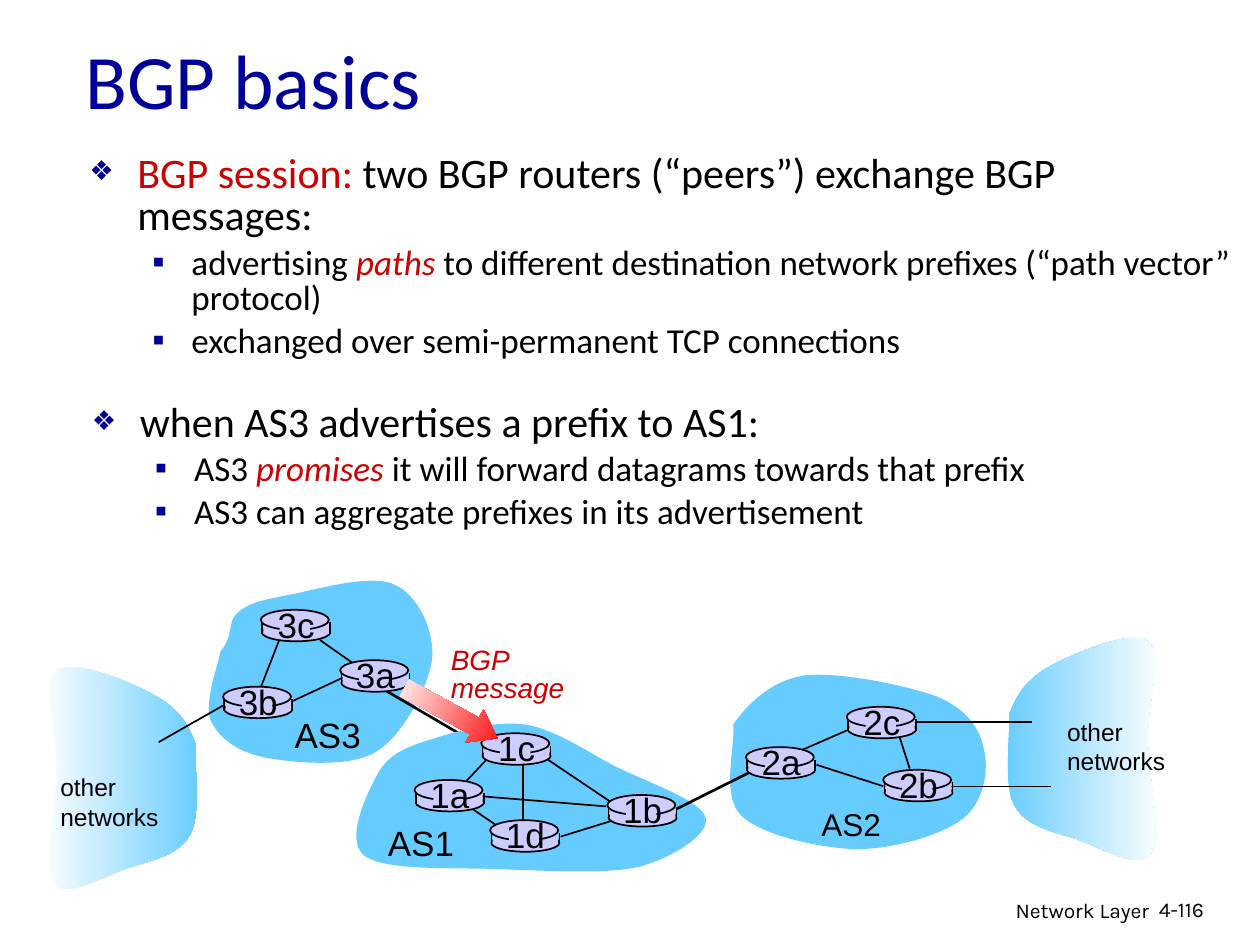
from typing import NamedTuple

from lxml import etree
from pptx import Presentation
from pptx.dml.color import RGBColor
from pptx.enum.shapes import MSO_CONNECTOR, MSO_SHAPE
from pptx.enum.text import MSO_ANCHOR, MSO_AUTO_SIZE, PP_ALIGN
from pptx.oxml.ns import qn
from pptx.util import Inches, Pt

LEFT, CENTER, RIGHT = PP_ALIGN.LEFT, PP_ALIGN.CENTER, PP_ALIGN.RIGHT
OVAL, RECTANGLE, LEFT_ARROW = MSO_SHAPE.OVAL, MSO_SHAPE.RECTANGLE, MSO_SHAPE.LEFT_ARROW
STRAIGHT, MIDDLE, NO_FIT = MSO_CONNECTOR.STRAIGHT, MSO_ANCHOR.MIDDLE, MSO_AUTO_SIZE.NONE
BLACK, RED, NAVY, CLOUD, ROUTER = "000000", "CC0000", "000099", "66CCFF", "CCCCFF"

# The slide is a grid of 100 columns by 75 rows
COLUMNS, ROWS = 100, 75
SLIDE_WIDTH = Inches(10)
CELL = SLIDE_WIDTH / COLUMNS


class Run(NamedTuple):
    text: str
    colour: str = BLACK
    italic: bool = False


class Item(NamedTuple):
    level: int
    runs: list[Run]


class Level(NamedTuple):
    size: int
    margin: float
    hanging: float
    bullet: str
    bullet_percent: int


class Link(NamedTuple):
    start: tuple[float, float]
    end: tuple[float, float]
    width: float = 1


class Label(NamedTuple):
    lines: list[str]
    box: tuple[float, float, float, float]
    format: dict
    align: object = LEFT
    spacing: float = 1.0


LEVELS = [Level(24, 3.8, 3.8, "❖", 65), Level(20, 8.1, 3.1, "▪", 100)]
TITLE_BOX = (5.8, 0, 85, 12.5)
LISTS = [
    ((6.1, 11.7, 93, 21.8), [
        Item(0, [Run("BGP session: ", RED), Run("two BGP routers (“peers”) exchange BGP messages:")]),
        Item(1, [Run("advertising "), Run("paths ", RED, True),
                 Run("to different destination network prefixes (“path vector” protocol)")]),
        Item(1, [Run("exchanged over semi-permanent TCP connections")])]),
    ((6.3, 31.5, 93, 25.7), [
        Item(0, [Run("when AS3 advertises a prefix to AS1:")]),
        Item(1, [Run("AS3 "), Run("promises", RED, True),
                 Run(" it will forward datagrams towards that prefix")]),
        Item(1, [Run("AS3 can aggregate prefixes in its advertisement")])]),
]

# Outlines: a start point, then three points for each curve
NETWORK = [(80.1, 56.7), (80.7, 55.1), (81.5, 53.9), (83.3, 52.9), (85.1, 51.9), (89.8, 49.9),
           (91.1, 50.9), (92.4, 51.8), (91, 55.9), (91.1, 58.7), (91.1, 61.6), (92.3, 66.5),
           (91.3, 67.8), (90.4, 69.1), (87.3, 67.2), (85.5, 66.6), (83.6, 66), (81.4, 65.6),
           (80.5, 63.9), (79.6, 62.3), (80.2, 58.2), (80.1, 56.7)]
MIRROR_SUM, MIRROR_DROP = 95.6, 2.3
AS2 = [(58.2, 57.5), (59.3, 55.9), (61.2, 54), (63.9, 53.6), (66.6, 53.3), (72, 54.4),
       (74.4, 55.3), (76.8, 56.3), (77.8, 57.9), (78.1, 59.5), (78.5, 61.1), (78.1, 63.7),
       (76.4, 65), (74.7, 66.3), (70.9, 67.4), (67.9, 67.4), (65, 67.3), (60.4, 66.3),
       (58.8, 64.7), (57.2, 63.1), (58.4, 59), (58.2, 57.5)]
AS3 = [(17.5, 51.7), (18.6, 50.4), (18, 49.3), (18.9, 48.6), (19.8, 47.8), (21, 47.6),
       (23, 47.2), (25.1, 46.8), (29.4, 45.5), (31.3, 46.4), (33.2, 47.2), (34.5, 50.1),
       (34.3, 52.3), (34, 54.5), (32, 58.4), (29.8, 59.7), (27.6, 61), (23, 60.5),
       (20.9, 60.1), (18.7, 59.6), (17.3, 58.5), (16.7, 57.1), (16.2, 55.7), (17.3, 52.8),
       (17.5, 51.7)]
AS1 = [(30.1, 61.2), (31.1, 59.6), (32.8, 59.1), (34.8, 58.5), (36.7, 57.9), (39.4, 57.2),
       (41.7, 57.5), (44, 57.9), (46.2, 59.4), (48.6, 60.7), (50.9, 61.9), (55.7, 63.5),
       (56, 64.9), (56.4, 66.2), (53.3, 68.1), (50.7, 68.8), (48, 69.4), (43.6, 69.1),
       (40, 69), (36.4, 68.8), (30.6, 69.2), (28.9, 67.9), (27.3, 66.6), (29.2, 62.8),
       (30.1, 61.2)]

AS3_TO_AS1 = Link((30.6, 54.8), (38.3, 59.3), 1.5)
LINKS = [
    Link((23.1, 55.7), (27.4, 53.7)), Link((28.1, 52.7), (25.4, 50.8)),
    Link((22.2, 50.7), (20.6, 54.8)), Link((17.7, 56), (12.6, 58.9)),
    Link((38.7, 60.2), (37, 62)), Link((41.5, 60.6), (41.5, 65.6)),
    Link((43.2, 60.1), (48.7, 63.8)), Link((48.7, 65.1), (44.5, 66.4)),
    Link((48.1, 64), (38.2, 63.2)), Link((37.2, 64), (39.4, 65.5)),
    Link((62.8, 59.9), (67.6, 57.8)), Link((64.8, 60.7), (70.1, 62.4)),
    Link((71.4, 58.5), (72.2, 61)), Link((72.6, 57.3), (81.9, 57.3), 0.75),
    Link((75.3, 62.4), (83.4, 62.4), 0.75), Link((53.7, 64.2), (59.5, 61.3), 1.5),
]
ROUTERS = {"3b": (17.7, 54.5), "3c": (20.7, 48.4), "3a": (27, 52.4), "1c": (38.2, 58.2),
           "1a": (32.9, 61.9), "1d": (38.9, 65.1), "1b": (48.2, 63.1), "2a": (59.2, 59.3),
           "2c": (67.2, 56.1), "2b": (70.1, 61.1)}


def arial(size: int, **extra) -> dict:
    return {"name": "Arial", "size": Pt(size), **extra}


FOOTER = {"name": "Karla", "size": Pt(12)}
LABELS = [
    Label(["Network Layer"], (60.5, 70.7, 31.7, 3.1), FOOTER, RIGHT),
    Label(["4-116"], (91, 70.7, 7.4, 3), FOOTER),
    Label(["AS3"], (22.4, 56.1, 7.3, 4.3), arial(20)),
    Label(["AS2"], (64.2, 63.4, 6.7, 4), arial(18)),
    Label(["AS1"], (29.8, 64.7, 7.3, 4.3), arial(20)),
    Label(["other", "networks"], (83.7, 56.4, 9.8, 5.7), arial(14)),
    Label(["other", "networks"], (3.8, 60.8, 9.8, 5.7), arial(14)),
    Label(["BGP", "message"], (34.8, 50.9, 11, 5.6), arial(16, italic=True, colour=RED), LEFT, 0.85),
]


def cells(*values: float) -> list[int]:
    return [round(value * CELL) for value in values]


def rgb(colour: str) -> RGBColor:
    return RGBColor.from_string(colour)


def set_font(font, values: dict) -> None:
    values = {"colour": BLACK, **values}
    font.color.rgb = rgb(values.pop("colour"))
    for name, value in values.items():
        setattr(font, name, value)


def paint(shape, fill: str | tuple[str, str], line: str | None = None) -> None:
    shape.shadow.inherit = False
    if isinstance(fill, tuple):
        shape.fill.gradient()
        shape.fill.gradient_angle = 0
        for stop, colour in zip(shape.fill.gradient_stops, fill):
            stop.color.rgb = rgb(colour)
    else:
        shape.fill.solid()
        shape.fill.fore_color.rgb = rgb(fill)
    if line:
        shape.line.color.rgb = rgb(line)
        shape.line.width = Pt(1)
    else:
        shape.line.fill.background()


def place(shape, box: tuple) -> None:
    for name, value in zip(("left", "top", "width", "height"), cells(*box)):
        setattr(shape, name, value)


def add_label(slide, label: Label) -> None:
    frame = slide.shapes.add_textbox(*cells(*label.box)).text_frame
    frame.word_wrap = False
    frame.text = "\n".join(label.lines)
    for paragraph in frame.paragraphs:
        paragraph.alignment = label.align
        paragraph.line_spacing = label.spacing
        set_font(paragraph.runs[0].font, label.format)


def add_link(slide, link: Link) -> None:
    connector = slide.shapes.add_connector(STRAIGHT, *cells(*link.start, *link.end))
    connector.line.color.rgb = rgb(BLACK)
    connector.line.width = Pt(link.width)
    etree.SubElement(connector._element.spPr, qn("a:effectLst"))


def add_cloud(slide, points: list, fill: str | tuple[str, str]) -> None:
    corners = [tuple(cells(*point)) for point in points]
    builder = slide.shapes.build_freeform(*corners[0])
    builder.add_line_segments(corners[1:], close=True)
    shape = builder.convert_to_shape()
    # Every three line segments become one curve
    segments = list(shape._element.iter(qn("a:lnTo")))
    for first in range(0, len(segments) - 2, 3):
        curve = etree.Element(qn("a:cubicBezTo"))
        segments[first].addprevious(curve)
        for segment in segments[first:first + 3]:
            curve.append(segment[0])
            segment.getparent().remove(segment)
    paint(shape, fill)


def add_router(slide, name: str, x: float, y: float) -> None:
    def part(kind, box: tuple, line: str | None = None) -> None:
        paint(slide.shapes.add_shape(kind, *cells(*box)), ROUTER, line)

    part(OVAL, (x + 0.1, y + 1.1, 5.4, 1.4), BLACK)
    for side in (x + 0.1, x + 5.5):
        add_link(slide, Link((side, y + 1), (side, y + 1.9)))
    part(RECTANGLE, (x + 0.2, y + 1, 5.2, 0.9))
    part(OVAL, (x, y, 5.4, 1.6), BLACK)
    part(RECTANGLE, (x + 1.5, y + 0.2, 2.4, 2))
    # The label box is wider than the router, so the name stays on one line
    add_label(slide, Label([name], (x - 1.2, y - 1, 8, 4.3), arial(20), CENTER))


def fill_list(placeholder, box: tuple, items: list[Item]) -> None:
    place(placeholder, box)
    frame = placeholder.text_frame
    frame.auto_size = NO_FIT
    for index, item in enumerate(items):
        level = LEVELS[item.level]
        paragraph = frame.add_paragraph() if index else frame.paragraphs[0]
        paragraph.level = item.level
        paragraph.line_spacing = 0.85
        paragraph.space_before = Pt(level.size * 0.2)
        properties = paragraph._p.get_or_add_pPr()
        margin, hanging = cells(level.margin, level.hanging)
        properties.set("marL", str(margin))
        properties.set("indent", str(-hanging))
        colour = etree.SubElement(properties, qn("a:buClr"))
        etree.SubElement(colour, qn("a:srgbClr"), val=NAVY)
        etree.SubElement(properties, qn("a:buSzPct"), val=str(level.bullet_percent * 1000))
        etree.SubElement(properties, qn("a:buFont"), typeface="Arial")
        etree.SubElement(properties, qn("a:buChar"), char=level.bullet)
        for part in item.runs:
            run = paragraph.add_run()
            run.text = part.text
            set_font(run.font, {"name": "Calibri", "size": Pt(level.size),
                                "italic": part.italic, "colour": part.colour})


def main() -> None:
    presentation = Presentation()
    presentation.slide_width, presentation.slide_height = cells(COLUMNS, ROWS)
    slide = presentation.slides.add_slide(presentation.slide_layouts.get_by_name("Two Content"))

    # Title and lists
    title, *bodies = slide.placeholders
    place(title, TITLE_BOX)
    title.text_frame.text = "BGP basics"
    title.text_frame.vertical_anchor = MIDDLE
    title.text_frame.paragraphs[0].alignment = LEFT
    set_font(title.text_frame.paragraphs[0].runs[0].font,
             {"name": "Calibri", "size": Pt(44), "colour": NAVY})
    for body, (box, items) in zip(bodies, LISTS):
        fill_list(body, box, items)

    # Outer networks, the left one mirrored, and the autonomous systems
    add_cloud(slide, NETWORK, (CLOUD, "FFFFFF"))
    add_cloud(slide, [(MIRROR_SUM - x, y + MIRROR_DROP) for x, y in NETWORK], ("FFFFFF", CLOUD))
    for outline in (AS2, AS3):
        add_cloud(slide, outline, CLOUD)
    add_link(slide, AS3_TO_AS1)
    add_cloud(slide, AS1, CLOUD)

    # Links and routers
    for link in LINKS:
        add_link(slide, link)
    for name, (x, y) in ROUTERS.items():
        add_router(slide, name, x, y)

    # Message arrow and labels
    arrow = slide.shapes.add_shape(LEFT_ARROW, *cells(31.6, 55.1, 8.4, 3))
    arrow.adjustments[1] = 0.695
    arrow.rotation = 208.5
    paint(arrow, ("FF0000", "FFFFFF"))
    for label in LABELS:
        add_label(slide, label)

    presentation.save("out.pptx")


if __name__ == "__main__":
    main()
